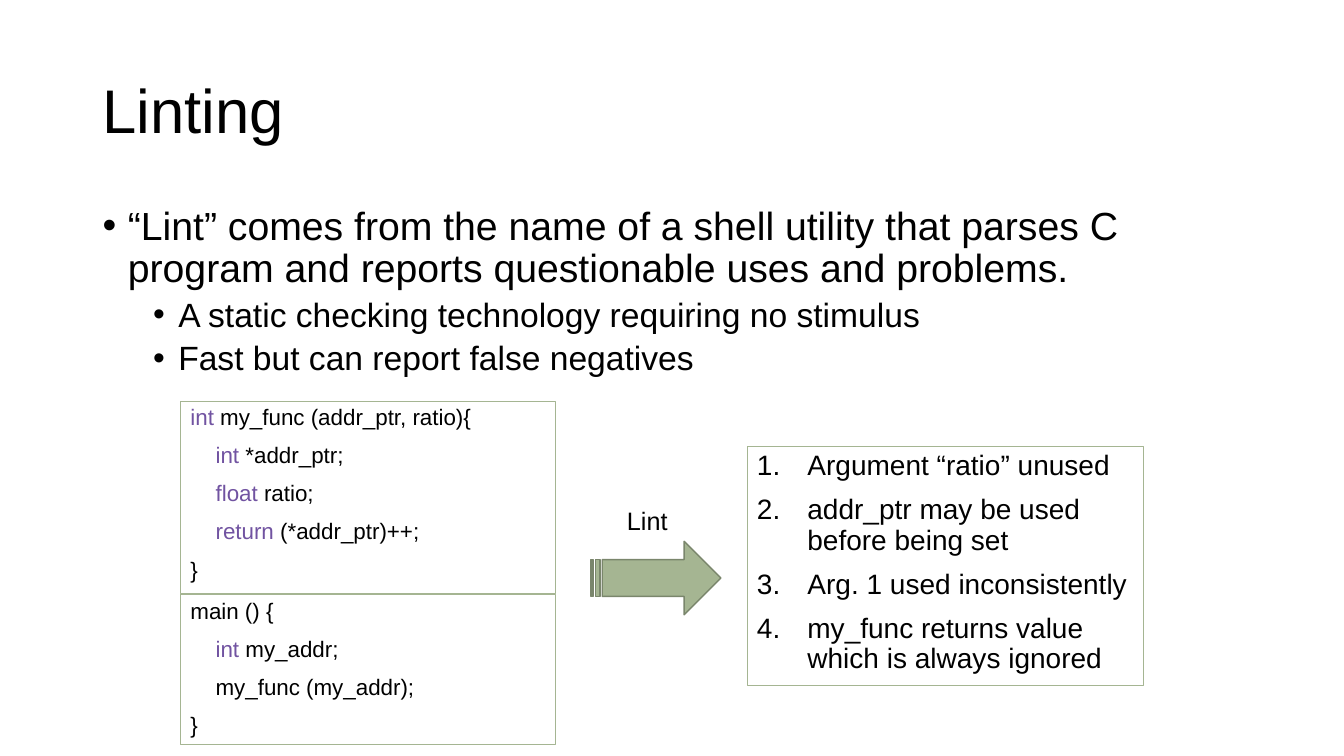
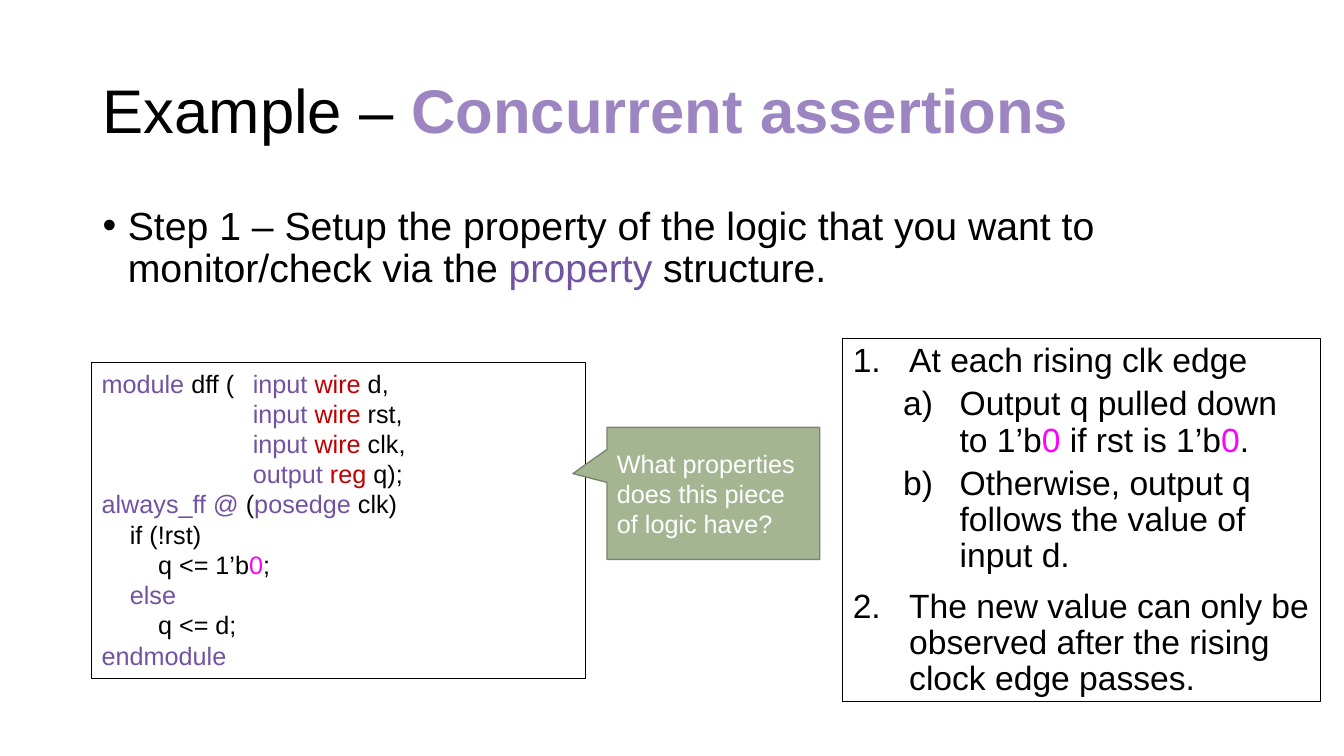
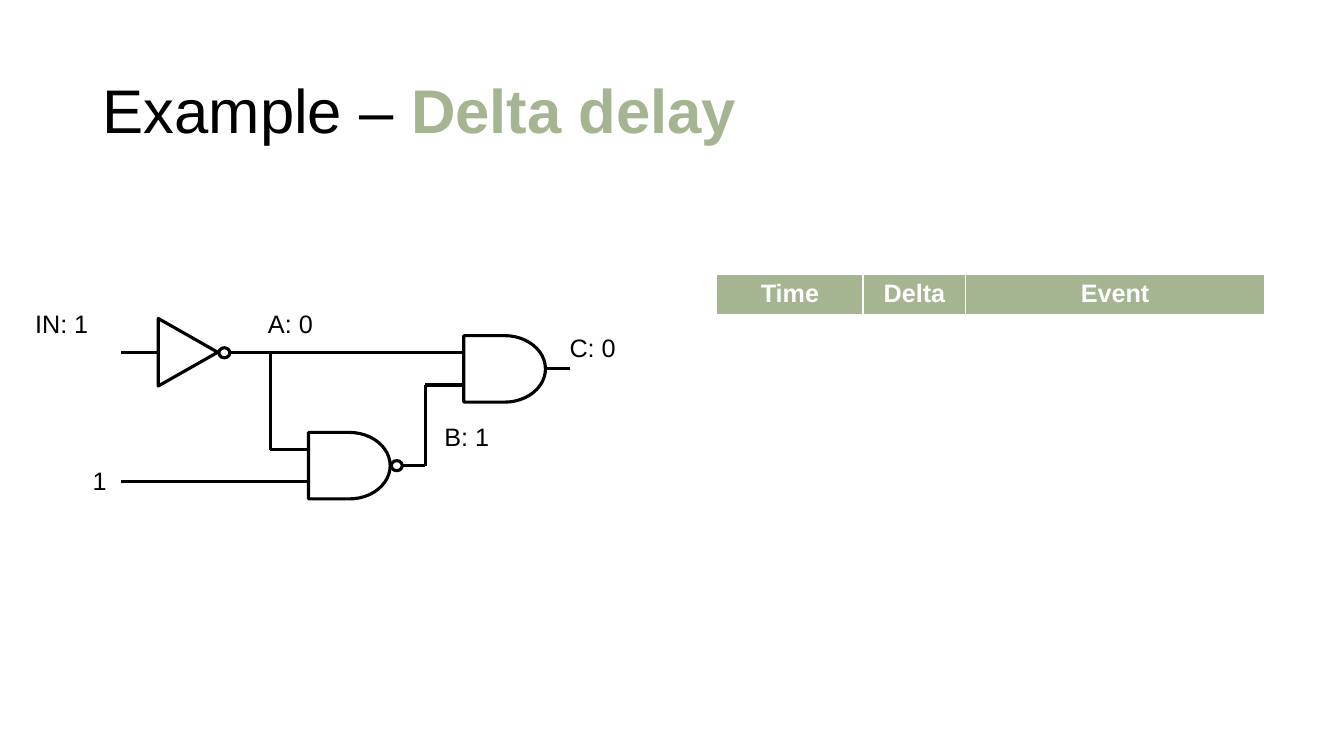
from dataclasses import dataclass

from lxml import etree
from pptx import Presentation
from pptx.dml import color
from pptx.enum import shapes, text
from pptx.oxml import ns
from pptx.util import Inches, Pt

COLORS = {
    "ink": "000000",
    "white": "FFFFFF",
    "green": "A5B592",
    "edge": "7A866C",
    "keyword": "7153A1",
    "lilac": "9C85C0",
    "type": "C00000",
    "digit": "FF00FF",
}
FONT = "Arial"
SHAPE = shapes.MSO_SHAPE
ANCHOR = text.MSO_ANCHOR
ALIGN = text.PP_ALIGN


@dataclass
class Style:
    size: float
    color: str = "ink"
    bold: bool = False
    align: ALIGN = ALIGN.LEFT
    spacing: float = 1
    before: float = 0
    indent: float = 0
    hang: float = 0
    level: int = 0
    bullet: str = ""
    numbering: str = ""
    tab: float = 0


def rgb(name):
    return color.RGBColor.from_string(COLORS[name])


def add_xml(parent, tag, **attributes):
    return etree.SubElement(parent, ns.qn(tag), attributes)


def kw(content):
    return content, "keyword"


def write_paragraph(paragraph, parts, style):
    paragraph.alignment = style.align
    paragraph.level = style.level
    paragraph.line_spacing = style.spacing
    paragraph.space_before = Pt(style.before)
    props = paragraph._p.get_or_add_pPr()
    props.set("marL", str(Inches(style.indent)))
    props.set("indent", str(-Inches(style.hang)))
    if style.bullet:
        add_xml(props, "a:buFont", typeface=FONT)
        add_xml(props, "a:buChar", char=style.bullet)
    if style.numbering:
        add_xml(props, "a:buFont", typeface=FONT)
        add_xml(props, "a:buAutoNum", type=style.numbering)
    if style.tab:
        stops = add_xml(props, "a:tabLst")
        add_xml(stops, "a:tab", pos=str(Inches(style.tab)), algn="l")
    for part in [parts] if isinstance(parts, str) else parts:
        content, tint = (part, style.color) if isinstance(part, str) else part
        run = paragraph.add_run()
        run.text = content
        run.font.name = FONT
        run.font.size = Pt(style.size)
        run.font.bold = style.bold or tint in ("lilac", "green")
        run.font.color.rgb = rgb(tint)


def write(frame, lines, anchor=ANCHOR.TOP, wrap=True):
    frame.word_wrap = wrap
    frame.vertical_anchor = anchor
    for index, (parts, style) in enumerate(lines):
        paragraph = frame.add_paragraph() if index else frame.paragraphs[0]
        write_paragraph(paragraph, parts, style)


def add_text(slide, box, lines, anchor=ANCHOR.TOP, wrap=True):
    label = slide.shapes.add_textbox(*map(Inches, box))
    write(label.text_frame, lines, anchor, wrap)


def add_block(slide, kind, box, line="ink", weight=0.75, fill=None):
    block = slide.shapes.add_shape(kind, *map(Inches, box))
    block.shadow.inherit = False
    block.line.color.rgb = rgb(line)
    block.line.width = Pt(weight)
    if fill:
        block.fill.solid()
        block.fill.fore_color.rgb = rgb(fill)
    else:
        block.fill.background()
    return block


def add_panel(slide, box, lines, line="ink"):
    panel = add_block(slide, SHAPE.RECTANGLE, box, line)
    write(panel.text_frame, lines)


def add_wire(slide, *ends):
    wire = slide.shapes.add_connector(shapes.MSO_CONNECTOR.STRAIGHT, *map(Inches, ends))
    wire.line.color.rgb = rgb("ink")
    wire.line.width = Pt(2.25)
    add_xml(wire._element.spPr, "a:effectLst")


def add_page(deck, title):
    slide = deck.slides.add_slide(deck.slide_layouts[6])
    add_text(slide, (0.92, 0.4, 11.5, 1.45), [(title, Style(44, spacing=0.9))], ANCHOR.MIDDLE)
    return slide


def bullet(level=0):
    return Style(28 - 4 * level, spacing=0.9, before=10 - 5 * level, level=level,
                 indent=0.25 + 0.5 * level, hang=0.25, bullet="•")


def numbered(size, hang, level=0):
    return Style(size, spacing=0.9, before=10 - 5 * level, level=level,
                 indent=hang + 0.5 * level, hang=hang,
                 numbering="alphaLcParenR" if level else "arabicPeriod")


def code_c(depth=0):
    return Style(16, spacing=0.9, before=10, indent=0.25 * depth)


def code_hdl(depth=0):
    return Style(18, indent=0.28 * depth)


def add_lint_arrow(slide, left, top):
    add_text(slide, (left, top, 1.8, 0.4), [("Lint", Style(18, align=ALIGN.CENTER))])
    add_block(slide, SHAPE.STRIPED_RIGHT_ARROW, (left + 0.34, top + 0.41, 1.29, 0.73),
              "edge", 1, "green")


def build_linting(deck):
    slide = add_page(deck, "Linting")
    add_text(slide, (0.92, 2, 11.5, 1.91), [
        ("“Lint” comes from the name of a shell utility that parses C program "
         "and reports questionable uses and problems.", bullet()),
        ("A static checking technology requiring no stimulus", bullet(1)),
        ("Fast but can report false negatives", bullet(1)),
    ])
    add_panel(slide, (1.79, 3.98, 3.72, 1.91), [
        ([kw("int "), "my_func (addr_ptr, ratio){"], code_c()),
        ([kw("int"), " *addr_ptr;"], code_c(1)),
        ([kw("float"), " ratio;"], code_c(1)),
        ([kw("return"), " (*addr_ptr)++;"], code_c(1)),
        ("}", code_c()),
    ], "green")
    add_panel(slide, (1.79, 5.9, 3.72, 1.49), [
        ("main () {", code_c()),
        ([kw("int "), "my_addr;"], code_c(1)),
        ("my_func (my_addr);", code_c(1)),
        ("}", code_c()),
    ], "green")
    warnings = ["Argument “ratio” unused", "addr_ptr may be used before being set",
                "Arg. 1 used inconsistently", "my_func returns value which is always ignored"]
    add_panel(slide, (7.41, 4.43, 3.93, 2.37),
              [(warning, numbered(20, 0.5)) for warning in warnings], "green")
    add_lint_arrow(slide, 5.52, 4.96)


def add_question(slide, box):
    question = add_block(slide, SHAPE.RECTANGULAR_CALLOUT, box, "edge", 1, "green")
    question.adjustments[0] = -0.66
    question.adjustments[1] = -0.15
    write(question.text_frame, [("What properties does this piece of logic have?",
                                 Style(18, "white"))], ANCHOR.MIDDLE)


def build_assertions(deck):
    slide = add_page(deck, ["Example – ", ("Concurrent assertions", "lilac")])
    add_text(slide, (0.92, 2, 11.5, 1.26), [
        (["Step 1 – Setup the property of the logic that you want to monitor/check via the ",
          kw("property"), " structure."], bullet()),
    ])
    port_column = 1.5
    port = Style(18, indent=port_column)
    wire, zero = ("wire ", "type"), ("0", "digit")
    add_panel(slide, (0.91, 3.6, 4.9, 3.13), [
        ([kw("module "), "dff (\t", kw("input "), wire, "d,"], Style(18, tab=port_column)),
        ([kw("input "), wire, "rst,"], port),
        ([kw("input "), wire, "clk,"], port),
        ([kw("output "), ("reg", "type"), " q);"], port),
        ([kw("always_ff @"), " (", kw("posedge "), "clk)"], code_hdl()),
        ("if (!rst)", code_hdl(1)),
        (["q <= 1’b", zero, ";"], code_hdl(2)),
        ([kw("else")], code_hdl(1)),
        ("q <= d;", code_hdl(2)),
        ([kw("endmodule")], code_hdl()),
    ])
    add_question(slide, (6.02, 4.24, 2.11, 1.31))
    item, subitem = numbered(24, 0.56), numbered(24, 0.56, 1)
    add_panel(slide, (8.36, 3.36, 4.74, 3.6), [
        ("At each rising clk edge", item),
        (["Output q pulled down to 1’b", zero, " if rst is 1’b", zero, "."], subitem),
        ("Otherwise, output q follows the value of input d.", subitem),
        ("The new value can only be observed after the rising clock edge passes.", item),
    ])


def add_bubble(slide, left, middle):
    add_block(slide, SHAPE.OVAL, (left, middle - 0.05, 0.11, 0.1), weight=2.25)


def add_inverter(slide, left, middle):
    add_wire(slide, left, middle, left + 0.37, middle)
    triangle = add_block(slide, SHAPE.ISOSCELES_TRIANGLE,
                         (left + 0.33, middle - 0.3, 0.67, 0.59), weight=2.25)
    triangle.rotation = 90
    add_bubble(slide, left + 0.97, middle)


def add_and_gate(slide, left, top, inverted=False):
    width, height, lead = 0.81, 0.66, 0.38
    middle = top + height / 2
    for offset in (-0.16, 0.16):
        add_wire(slide, left - lead, middle + offset, left, middle + offset)
    add_block(slide, SHAPE.FLOWCHART_DELAY, (left, top, width, height), weight=2.25)
    output = left + width
    if inverted:
        add_bubble(slide, output + 0.01, middle)
        output += 0.11
    add_wire(slide, output, middle, output + 0.24, middle)


def add_circuit(slide, left, top):
    add_inverter(slide, left, top + 0.49)
    add_and_gate(slide, left + 3.4, top + 0.32)
    add_and_gate(slide, left + 1.86, top + 1.28, inverted=True)
    for x1, y1, x2, y2 in [
        (1.08, 0.49, 3.03, 0.49),
        (1.48, 0.49, 1.48, 1.45),
        (3.02, 0.81, 3.02, 1.61),
        (0, 1.77, 1.49, 1.77),
    ]:
        add_wire(slide, left + x1, top + y1, left + x2, top + y2)
    for signal, x, y, width in [
        ("IN: 1", -0.95, 0, 0.74),
        ("A: 0", 1.36, 0, 0.66),
        ("B: 1", 3.11, 1.12, 0.66),
        ("C: 0", 4.35, 0.24, 0.68),
        ("1", -0.38, 1.56, 0.34),
    ]:
        add_text(slide, (left + x, top + y, width, 0.4), [(signal, Style(18))], wrap=False)


def add_event_table(slide, left, top):
    columns = {"Time": 1.45, "Delta": 1.02, "Event": 2.96}
    box = (left, top, sum(columns.values()), 0.41)
    table = slide.shapes.add_table(1, len(columns), *map(Inches, box)).table
    for index, (heading, width) in enumerate(columns.items()):
        table.columns[index].width = Inches(width)
        cell = table.cell(0, index)
        for side, weight in {"L": 1, "R": 1, "T": 1, "B": 3}.items():
            border = add_xml(cell._tc.get_or_add_tcPr(), f"a:ln{side}", w=str(Pt(weight)))
            add_xml(add_xml(border, "a:solidFill"), "a:srgbClr", val=COLORS["white"])
        cell.fill.solid()
        cell.fill.fore_color.rgb = rgb("green")
        write_paragraph(cell.text_frame.paragraphs[0], heading,
                        Style(18, "white", True, ALIGN.CENTER))


def build_delta_delay(deck):
    slide = add_page(deck, ["Example – ", ("Delta delay", "green")])
    add_circuit(slide, 1.2, 3.01)
    add_event_table(slide, 7.11, 2.72)


def main():
    deck = Presentation()
    deck.slide_width = Inches(13.33)
    deck.slide_height = Inches(7.5)
    build_linting(deck)
    build_assertions(deck)
    build_delta_delay(deck)
    deck.save("out.pptx")


if __name__ == "__main__":
    main()
